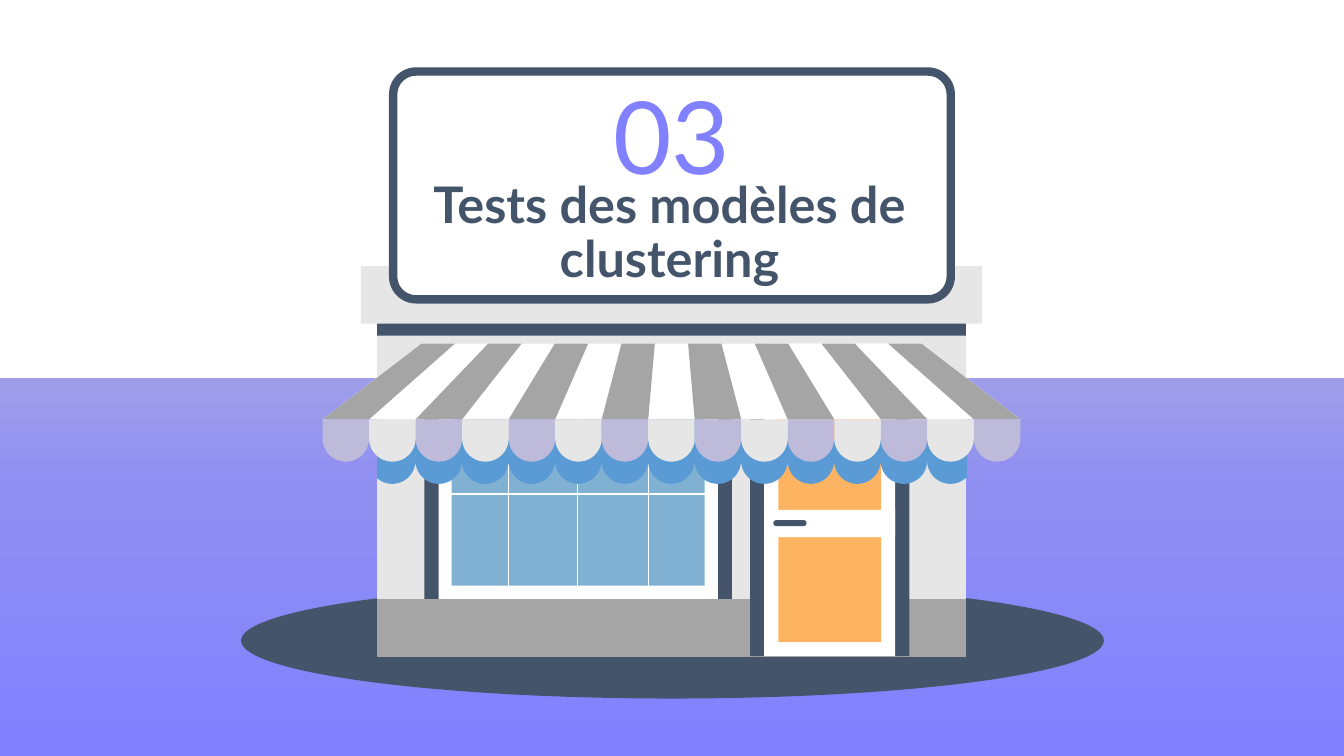
from copy import deepcopy
from math import cos, pi, sin
from pptx import Presentation
from pptx.dml.color import RGBColor
from pptx.enum.shapes import MSO_CONNECTOR, MSO_SHAPE
from pptx.enum.text import MSO_ANCHOR, PP_ALIGN
from pptx.oxml.ns import qn
from pptx.util import Inches, Pt

NUMBER, TITLE = "03", "Tests des modèles de clustering"
NAVY, WHITE, WALL, GREY = "44546A", "FFFFFF", "E7E6E6", "A5A5A5"
GLASS, WOOD, SHADE, LILAC, VIOLET = "80B1D3", "FDB462", "5B9BD5", "BEBADA", "8181FF"
COLS, ROWS = 1333, 750
SKY = [(0, "9F9DEA"), (0.29, "908FF2"), (1, VIOLET)]
FACADE = [
    ((374, 264, 584, 387), WALL), ((421, 373, 305, 235), NAVY),
    ((435, 386, 277, 209), WHITE), ((448, 400, 251, 181), GLASS),
    ((374, 595, 584, 56), GREY), ((744, 346, 158, 305), NAVY),
    ((758, 341, 130, 310), WHITE), ((772, 354, 102, 283), WOOD),
]
PANES = [(440, 490, 707, 490)] + [(x, 378, x, 591) for x in (504, 573, 643)]
DOOR_RAIL, HANDLE = (758, 506, 130, 27), (767, 516, 33, 6)
CORNICE = [((374, 284, 584, 49), NAVY), ((358, 264, 616, 57), WALL)]
STRIPES = 15
AWNING_TOP, AWNING_BOTTOM = (418, 914, 341), (320, 1012, 416)
SCALLOP_Y, SHADE_TOP, SHADE_Y = 435, 437, 457
SHADE_X, SHADE_LEFT, SHADE_RIGHT = 389, 374, 959
SIGN = (390, 71, 553, 226)

prs = Presentation()
prs.slide_width, prs.slide_height = Inches(COLS / 100), Inches(ROWS / 100)
cell = prs.slide_width / COLS
s = prs.slides.add_slide(prs.slide_layouts[6])


def rgb(color):
    return RGBColor.from_string(color)


def emu(*cells):
    return [round(c * cell) for c in cells]


def paint(sp, fill, line=None, width=0.75):
    sp.shadow.inherit = False
    sp.fill.solid()
    sp.fill.fore_color.rgb = rgb(fill)
    if line:
        sp.line.color.rgb = rgb(line)
        sp.line.width = Pt(width)
    else:
        sp.line.fill.background()
    return sp


def block(box, fill, kind=MSO_SHAPE.RECTANGLE, **line):
    return paint(s.shapes.add_shape(kind, *emu(*box)), fill, **line)


def outline(points, fill):
    pts = [emu(*pt) for pt in points]
    fb = s.shapes.build_freeform(*pts[0], scale=1.0)
    fb.add_line_segments(pts[1:], close=True)
    return paint(fb.convert_to_shape(), fill)


def arc(cx, cy, radius, steps=24):
    """Points of a half circle hanging below its centre, from left to right."""
    angles = [pi * (1 - i / steps) for i in range(steps + 1)]
    return [(cx + radius * cos(a), cy + radius * sin(a)) for a in angles]


def label(text, box, size, color, bold=False):
    tf = s.shapes.add_textbox(*emu(*box)).text_frame
    tf.word_wrap, tf.vertical_anchor = True, MSO_ANCHOR.MIDDLE
    tf.margin_left = tf.margin_right = tf.margin_top = tf.margin_bottom = Inches(0.1)
    p = tf.paragraphs[0]
    p.alignment, p.line_spacing = PP_ALIGN.CENTER, 0.9
    r = p.add_run()
    r.text = text
    r.font.name, r.font.size, r.font.bold = "Lato", Pt(size), bold
    r.font.color.rgb = rgb(color)


def ground():
    sp = block((0, ROWS / 2, COLS, ROWS / 2), VIOLET)
    sp.fill.gradient()
    sp.fill.gradient_angle = 270
    stops = sp._element.spPr.find(qn("a:gradFill")).find(qn("a:gsLst"))
    stops.append(deepcopy(stops[-1]))
    for stop, (position, color) in zip(sp.fill.gradient_stops, SKY):
        stop.position = position
        stop.color.rgb = rgb(color)
    block((239, 578, 856, 115), NAVY, MSO_SHAPE.OVAL)


def shop_front():
    for box, fill in FACADE:
        block(box, fill, line=GREY if fill == GREY else None)
    for pane in PANES:
        c = s.shapes.add_connector(MSO_CONNECTOR.STRAIGHT, *emu(*pane))
        c.line.color.rgb = rgb(WHITE)
        c.line.width = Pt(0.85)
        c._element.spPr.append(c._element.spPr.makeelement(qn("a:effectLst"), {}))


def awning():
    (x0, x1, top), (x2, x3, bottom) = AWNING_TOP, AWNING_BOTTOM
    narrow, wide = (x1 - x0) / STRIPES, (x3 - x2) / STRIPES
    bumps = [pt for i in range(STRIPES - 2)
             for pt in arc(SHADE_X + i * wide, SHADE_Y, wide / 2)
             if SHADE_LEFT <= pt[0] <= SHADE_RIGHT]
    outline([(SHADE_LEFT, SHADE_TOP), (SHADE_LEFT, 474), *bumps,
             (SHADE_RIGHT, 475), (SHADE_RIGHT, SHADE_TOP)], SHADE)
    block(DOOR_RAIL, WHITE)
    block(HANDLE, NAVY, MSO_SHAPE.ROUNDED_RECTANGLE).adjustments[0] = 0.5
    for box, fill in CORNICE:
        block(box, fill)
    outline([(x0, top), (x2, bottom), (x3, bottom), (x1, top)], WHITE)
    for i in range(0, STRIPES, 2):
        a, b = x0 + i * narrow, x2 + i * wide
        outline([(a, top), (b, bottom), (b + wide, bottom), (a + narrow, top)], GREY)
    for i in range(STRIPES):
        left = x2 + i * wide
        outline([(left, bottom), *arc(left + wide / 2, SCALLOP_Y, wide / 2),
                 (left + wide, bottom)], WALL if i % 2 else LILAC)


def sign():
    board = block(SIGN, WHITE, MSO_SHAPE.ROUNDED_RECTANGLE, line=NAVY, width=6)
    board.adjustments[0] = 0.1
    label(TITLE, (390, 174, 548, 117), 36, NAVY, bold=True)
    label(NUMBER, (392, 80, 548, 121), 72, VIOLET)


if __name__ == "__main__":
    ground()
    shop_front()
    awning()
    sign()
    prs.save("out.pptx")
